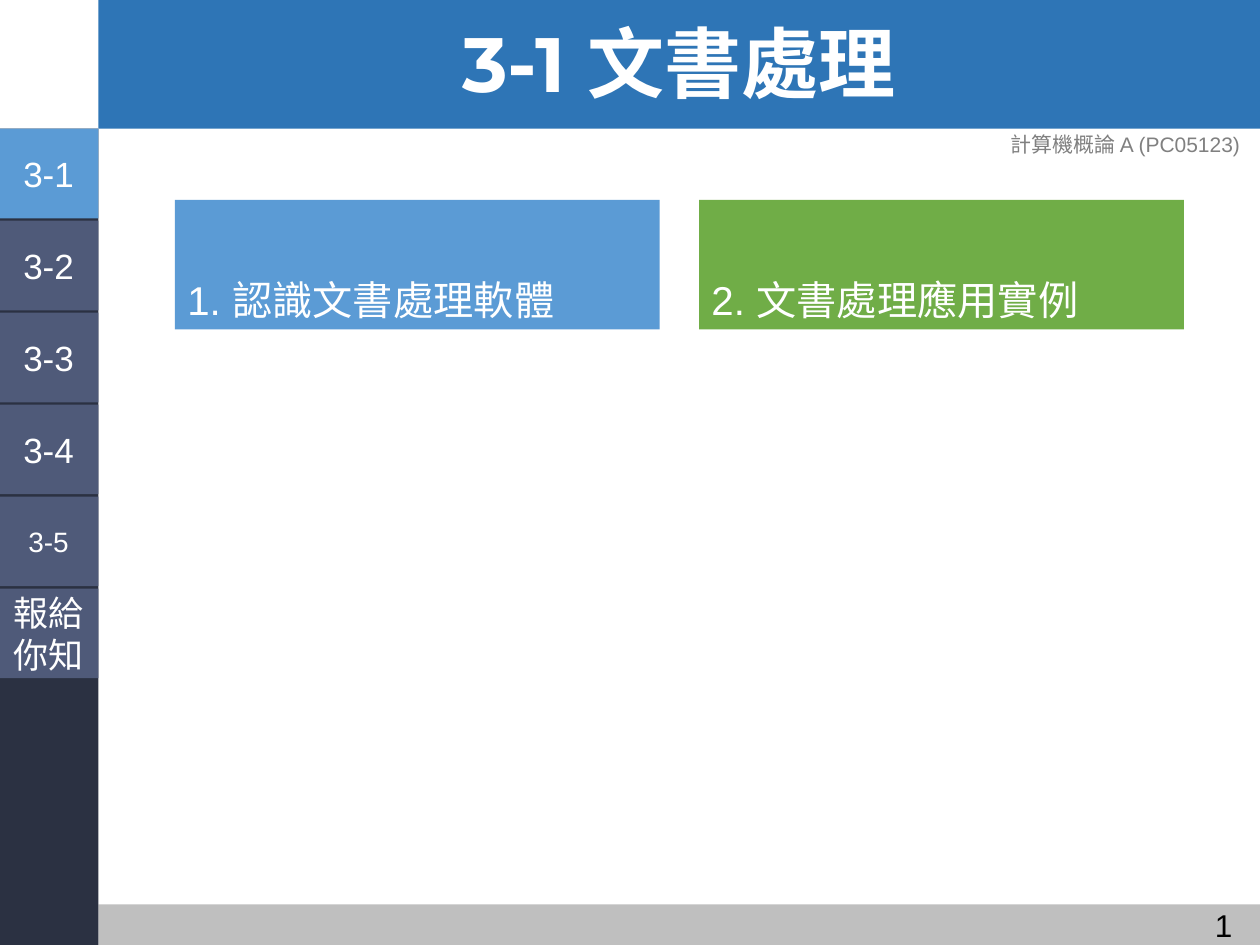
from pptx import Presentation
from pptx.dml.color import RGBColor
from pptx.enum.shapes import MSO_SHAPE as Shape
from pptx.enum.text import MSO_ANCHOR as Anchor, PP_ALIGN as Align
from pptx.util import Pt

WHITE = RGBColor(0xFF, 0xFF, 0xFF)
BLACK = RGBColor(0x00, 0x00, 0x00)
BANNER_BLUE = RGBColor(0x2E, 0x75, 0xB6)
ACTIVE_BLUE = RGBColor(0x5B, 0x9B, 0xD5)
GREEN = RGBColor(0x70, 0xAD, 0x47)
FOOTER_GRAY = RGBColor(0xBF, 0xBF, 0xBF)
LABEL_GRAY = RGBColor(0x80, 0x80, 0x80)
SIDEBAR_NAVY = RGBColor(0x2B, 0x31, 0x42)
TAB_SLATE = RGBColor(0x4F, 0x5A, 0x79)

PAGE_WIDTH, PAGE_HEIGHT = 720, 540
SIDEBAR_LEFT, SIDEBAR_WIDTH = -0.6, 56.8
CONTENT_LEFT = 56.2
CONTENT_WIDTH = PAGE_WIDTH - CONTENT_LEFT
BANNER_HEIGHT = 73.6
FOOTER_TOP = 516.8
TAB_HEIGHT, TAB_PITCH = 51.2, 52.56
CARD_LEFT, CARD_PITCH = 100, 299.5

TABS = [("3-1", 20), ("3-2", 20), ("3-3", 20), ("3-4", 20), ("3-5", 16), ("報給\n你知", 20)]
CARDS = [("1. 認識文書處理軟體", ACTIVE_BLUE), ("2. 文書處理應用實例", GREEN)]


def write_text(box, text, size, color, align=Align.LEFT, font="Arial", bold=False):
    box.text_frame.text = text
    for para in box.text_frame.paragraphs:
        para.alignment = align
        for span in para.runs:
            span.font.name = font
            span.font.size = Pt(size)
            span.font.bold = bold
            span.font.color.rgb = color


def add_block(page, left, top, width, height, color):
    block = page.shapes.add_shape(
        Shape.RECTANGLE, Pt(left), Pt(top), Pt(width), Pt(height))
    block.shadow.inherit = False
    block.fill.solid()
    block.fill.fore_color.rgb = color
    block.line.fill.background()
    return block


def add_label(page, left, top, width, height, text, size, color, align=Align.LEFT):
    box = page.shapes.add_textbox(Pt(left), Pt(top), Pt(width), Pt(height))
    box.text_frame.word_wrap = True
    write_text(box, text, size, color, align)


def add_title(page, text):
    title = page.shapes.title
    page.shapes._spTree.append(title._element)
    title.left, title.top = Pt(CONTENT_LEFT), Pt(2)
    title.width, title.height = Pt(CONTENT_WIDTH), Pt(BANNER_HEIGHT)
    write_text(title, text, 44, WHITE, Align.CENTER, "Montserrat", True)
    title.text_frame.vertical_anchor = Anchor.MIDDLE
    title.text_frame.paragraphs[0].line_spacing = 0.9


def add_card(page, index, text, color):
    card = add_block(page, CARD_LEFT + index * CARD_PITCH, 114.2, 277, 74, color)
    card.text_frame.vertical_anchor = Anchor.BOTTOM
    card.text_frame.word_wrap = True
    write_text(card, text, 23, WHITE)


def add_tab(page, index, text, size):
    color = TAB_SLATE if index else ACTIVE_BLUE
    tab = add_block(page, SIDEBAR_LEFT, BANNER_HEIGHT + index * TAB_PITCH,
                    SIDEBAR_WIDTH, TAB_HEIGHT, color)
    frame = tab.text_frame
    frame.margin_left = frame.margin_right = Pt(3)
    frame.margin_top = frame.margin_bottom = Pt(3)
    frame.vertical_anchor = Anchor.MIDDLE
    frame.word_wrap = False
    write_text(tab, text, size, WHITE, Align.CENTER)


def main():
    deck = Presentation()
    deck.slide_width, deck.slide_height = Pt(PAGE_WIDTH), Pt(PAGE_HEIGHT)
    page = deck.slides.add_slide(deck.slide_layouts[5])

    add_block(page, CONTENT_LEFT, 0, CONTENT_WIDTH, BANNER_HEIGHT, BANNER_BLUE)
    add_block(page, CONTENT_LEFT, FOOTER_TOP, CONTENT_WIDTH,
              PAGE_HEIGHT - FOOTER_TOP, FOOTER_GRAY)
    add_label(page, 570.2, 71.5, 146, 21.8, "計算機概論 A (PC05123)", 12, LABEL_GRAY)
    add_block(page, SIDEBAR_LEFT, BANNER_HEIGHT, SIDEBAR_WIDTH,
              PAGE_HEIGHT - BANNER_HEIGHT, SIDEBAR_NAVY)
    add_title(page, "3-1 文書處理")
    add_label(page, 635, 514, 76.3, 29, "1", 18, BLACK, Align.RIGHT)
    for index, (text, color) in enumerate(CARDS):
        add_card(page, index, text, color)
    for index, (text, size) in enumerate(TABS):
        add_tab(page, index, text, size)

    deck.save("out.pptx")


if __name__ == "__main__":
    main()
